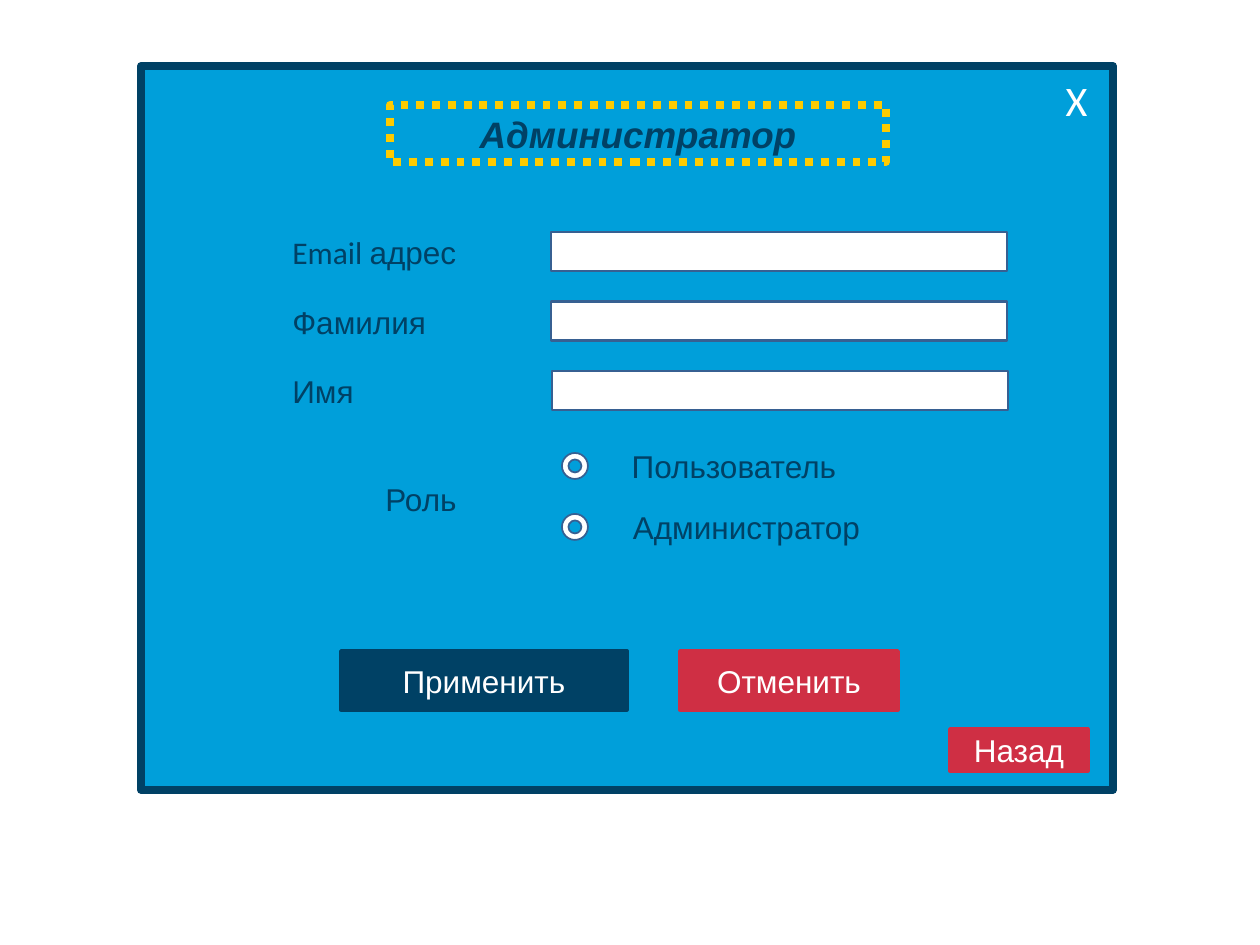
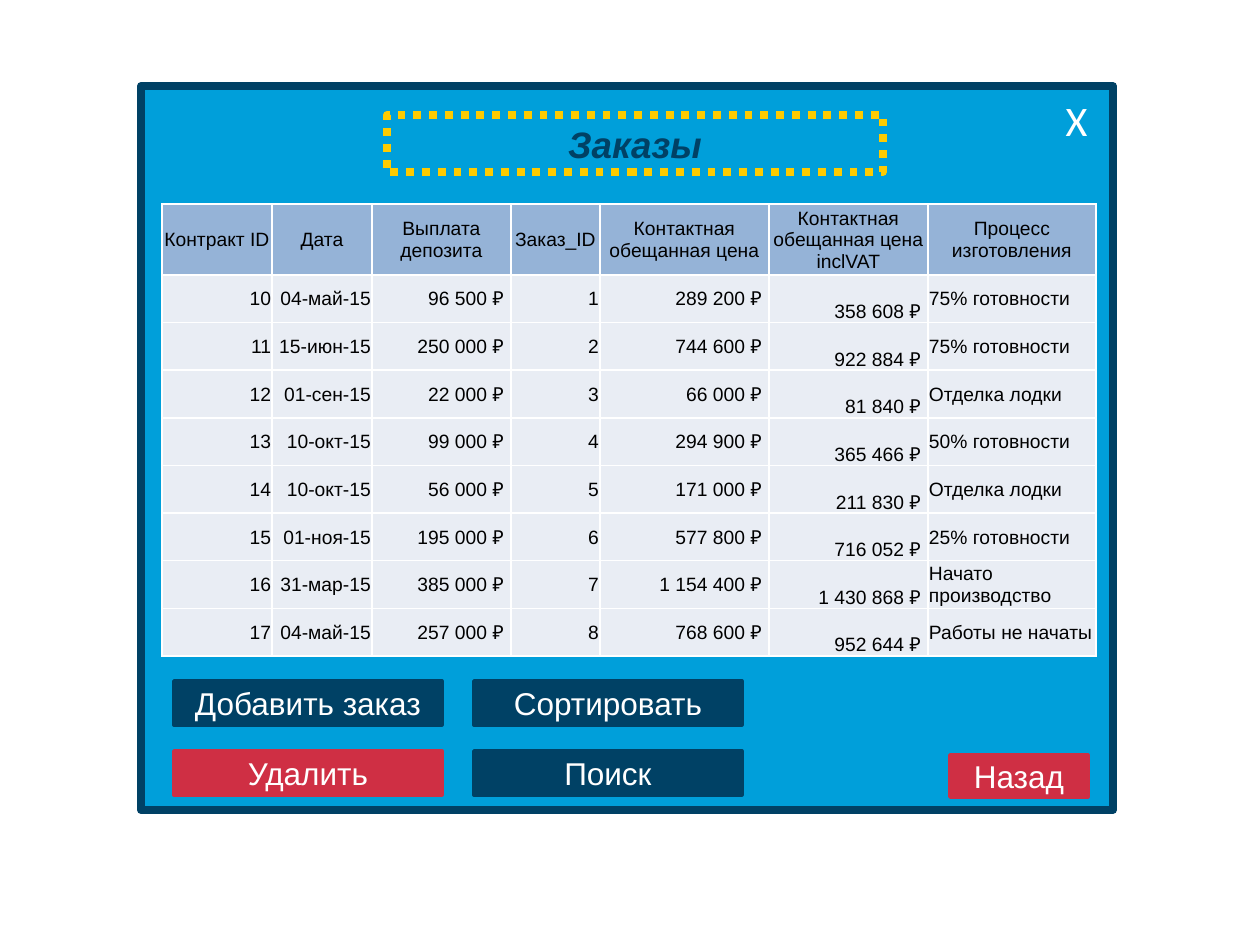
from lxml import etree
from pptx import Presentation
from pptx.dml.color import RGBColor
from pptx.enum.dml import MSO_LINE
from pptx.enum.shapes import MSO_SHAPE as Preset
from pptx.enum.text import MSO_ANCHOR as Anchor, MSO_AUTO_SIZE as AutoSize, PP_ALIGN as Align
from pptx.oxml.ns import qn
from pptx.util import Emu, Pt

PX = 914400 // 126
NAVY = RGBColor(0x00, 0x41, 0x65)
SKY = RGBColor(0x00, 0x9F, 0xDA)
RED = RGBColor(0xCF, 0x2F, 0x44)
YELLOW = RGBColor(0xFE, 0xCB, 0x00)
STEEL = RGBColor(0x37, 0x60, 0x92)
WHITE = RGBColor(0xFF, 0xFF, 0xFF)
BLACK = RGBColor(0x00, 0x00, 0x00)
HEADER_FILL = RGBColor(0x95, 0xB3, 0xD7)
ROW_FILL = RGBColor(0xE9, 0xED, 0xF4)

# Each field: runs of its label, left edge of its input
FIELDS = [
    ([("Email ", "Calibri"), ("адрес", "Arial")], 551),
    ([("Фамилия", "Arial")], 551),
    ([("Имя", "Arial")], 552),
]
FIELD_TOP, FIELD_STEP = 232, 69.5
ROLE = ("Роль", (302, 474, 238, 50))
ROLES = [("Пользователь", 238), ("Администратор", 263)]
ROLE_TOP, ROLE_STEP = 441, 61
USER_BUTTONS = [
    ("Применить", NAVY, (341, 651, 286, 59)),
    ("Отменить", RED, (680, 651, 218, 59)),
]

ORDER_BUTTONS = [
    [("Добавить заказ", NAVY), ("Сортировать", NAVY)],
    [("Удалить", RED), ("Поиск", NAVY)],
]
# Each column: heading, width, alignment, anchor, right margin
COLUMNS = [
    ("Контракт ID", 110, Align.RIGHT, Anchor.MIDDLE, 1),
    ("Дата", 100, Align.RIGHT, Anchor.MIDDLE, 1),
    ("Выплата депозита", 139, Align.RIGHT, Anchor.MIDDLE, 7),
    ("Заказ_ID", 89, Align.RIGHT, Anchor.MIDDLE, 1),
    ("Контактная обещанная цена", 169, Align.RIGHT, Anchor.MIDDLE, 7),
    ("Контактная обещанная цена\ninclVAT", 159, Align.RIGHT, Anchor.BOTTOM, 7),
    ("Процесс изготовления", 168, Align.LEFT, Anchor.MIDDLE, 1),
]
ORDERS = [
    ("10", "04-май-15", "96 500 ₽", "1", "289 200 ₽", "358 608 ₽", "75% готовности"),
    ("11", "15-июн-15", "250 000 ₽", "2", "744 600 ₽", "922 884 ₽", "75% готовности"),
    ("12", "01-сен-15", "22 000 ₽", "3", "66 000 ₽", "81 840 ₽", "Отделка лодки"),
    ("13", "10-окт-15", "99 000 ₽", "4", "294 900 ₽", "365 466 ₽", "50% готовности"),
    ("14", "10-окт-15", "56 000 ₽", "5", "171 000 ₽", "211 830 ₽", "Отделка лодки"),
    ("15", "01-ноя-15", "195 000 ₽", "6", "577 800 ₽", "716 052 ₽", "25% готовности"),
    ("16", "31-мар-15", "385 000 ₽", "7", "1 154 400 ₽", "1 430 868 ₽", "Начато производство"),
    ("17", "04-май-15", "257 000 ₽", "8", "768 600 ₽", "952 644 ₽", "Работы не начаты"),
]
TABLE_LEFT, TABLE_TOP, HEADER_HEIGHT, ROWS_HEIGHT = 162, 204, 71, 381


def emu(*lengths):
    return [Emu(round(length * PX)) for length in lengths]


def style_text(frame, size, color, align, font="Arial"):
    for paragraph in frame.paragraphs:
        paragraph.alignment = align
        for run in paragraph.runs:
            run.font.name = font
            run.font.size = Pt(size)
            run.font.color.rgb = color


def add_box(slide, preset, box, fill, line, line_width):
    shape = slide.shapes.add_shape(preset, *emu(*box))
    shape.shadow.inherit = False
    shape.fill.solid()
    shape.fill.fore_color.rgb = fill
    shape.line.color.rgb = line
    shape.line.width = Pt(line_width)
    return shape


def add_button(slide, caption, color, box, preset=Preset.RECTANGLE, size=18, font="Arial"):
    button = add_box(slide, preset, box, color, color, 2)
    frame = button.text_frame
    frame.text = caption
    frame.vertical_anchor = Anchor.MIDDLE
    style_text(frame, size, WHITE, Align.CENTER, font)


def add_label(slide, caption, box, align=Align.CENTER):
    frame = slide.shapes.add_textbox(*emu(*box)).text_frame
    frame.word_wrap = True
    frame.text = caption
    style_text(frame, 18, NAVY, align)
    return frame


def add_window(deck, caption, panel_top, title_at, back_top):
    """Add a slide with the framed window, its title, close and back buttons."""
    slide = deck.slides.add_slide(deck.slide_layouts[5])
    add_box(slide, Preset.RECTANGLE, (141, panel_top, 972, 724), SKY, NAVY, 4.5)

    title = slide.shapes.title
    slide.shapes._spTree.append(title._element)  # bring in front of the panel
    title.left, title.top, title.width, title.height = emu(*title_at, 496, 57)
    title.line.color.rgb = YELLOW
    title.line.width = Pt(4.5)
    title.line.dash_style = MSO_LINE.ROUND_DOT
    frame = title.text_frame
    frame.text = caption
    frame.auto_size = AutoSize.NONE
    frame.vertical_anchor = Anchor.MIDDLE
    style_text(frame, 21, NAVY, Align.CENTER)
    title_font = frame.paragraphs[0].runs[0].font
    title_font.bold = title_font.italic = True

    add_button(slide, "Назад", RED, (950, back_top, 138, 42))
    add_button(slide, "Х", SKY, (1047, panel_top + 7, 59, 53),
               Preset.ACTION_BUTTON_CUSTOM, 24, "Calibri")
    return slide


def add_fields(slide):
    for index, (runs, input_left) in enumerate(FIELDS):
        top = FIELD_TOP + index * FIELD_STEP
        add_box(slide, Preset.RECTANGLE, (input_left, top, 456, 39), WHITE, STEEL, 1.5)
        frame = add_label(slide, "", (280, top - 5, 238, 50), Align.LEFT)
        for text, font in runs:
            run = frame.paragraphs[0].add_run()
            run.text = text
            run.font.name = font
            run.font.size = Pt(18)
            run.font.color.rgb = NAVY


def add_roles(slide):
    add_label(slide, *ROLE)
    for index, (role, width) in enumerate(ROLES):
        top = ROLE_TOP + index * ROLE_STEP
        add_label(slide, role, (615, top, width, 50))
        add_box(slide, Preset.DONUT, (562, top + 12, 26, 26), WHITE, STEEL, 1)


def add_borders(cell):
    properties = cell._tc.get_or_add_tcPr()
    for side in ("a:lnL", "a:lnR", "a:lnT", "a:lnB"):
        border = etree.SubElement(properties, qn(side), w=str(Pt(1)))
        fill = etree.SubElement(border, qn("a:solidFill"))
        etree.SubElement(fill, qn("a:srgbClr"), val=str(WHITE))


def fill_cell(cell, text, fill, align, anchor, right_margin):
    add_borders(cell)
    cell.fill.solid()
    cell.fill.fore_color.rgb = fill
    cell.margin_left, cell.margin_top, cell.margin_right, cell.margin_bottom = emu(
        1, 1, right_margin, 0)
    cell.vertical_anchor = anchor
    cell.text_frame.text = text
    style_text(cell.text_frame, 11, BLACK, align)


def add_orders(slide):
    width = sum(column[1] for column in COLUMNS)
    table = slide.shapes.add_table(
        len(ORDERS) + 1, len(COLUMNS),
        *emu(TABLE_LEFT, TABLE_TOP, width, HEADER_HEIGHT + ROWS_HEIGHT)).table
    table.first_row = table.horz_banding = False
    heights = [HEADER_HEIGHT] + [ROWS_HEIGHT / len(ORDERS)] * len(ORDERS)
    for row, height in zip(table.rows, emu(*heights)):
        row.height = height
    for c, (heading, column_width, align, anchor, right_margin) in enumerate(COLUMNS):
        table.columns[c].width = emu(column_width)[0]
        fill_cell(table.cell(0, c), heading, HEADER_FILL, Align.CENTER, Anchor.MIDDLE, 1)
        for r, order in enumerate(ORDERS, 1):
            fill_cell(table.cell(r, c), order[c], ROW_FILL, align, anchor, right_margin)


def main():
    deck = Presentation()
    deck.slide_width, deck.slide_height = emu(1260, 945)

    user = add_window(deck, "Администратор", 66, (390, 105), 729)
    add_fields(user)
    add_roles(user)
    for caption, color, box in USER_BUTTONS:
        add_button(user, caption, color, box)

    orders = add_window(deck, "Заказы", 86, (387, 115), 755)
    add_orders(orders)
    for r, captions in enumerate(ORDER_BUTTONS):
        for c, (caption, color) in enumerate(captions):
            add_button(orders, caption, color, (174 + c * 300, 681 + r * 70, 268, 44))

    deck.save("out.pptx")


if __name__ == "__main__":
    main()
